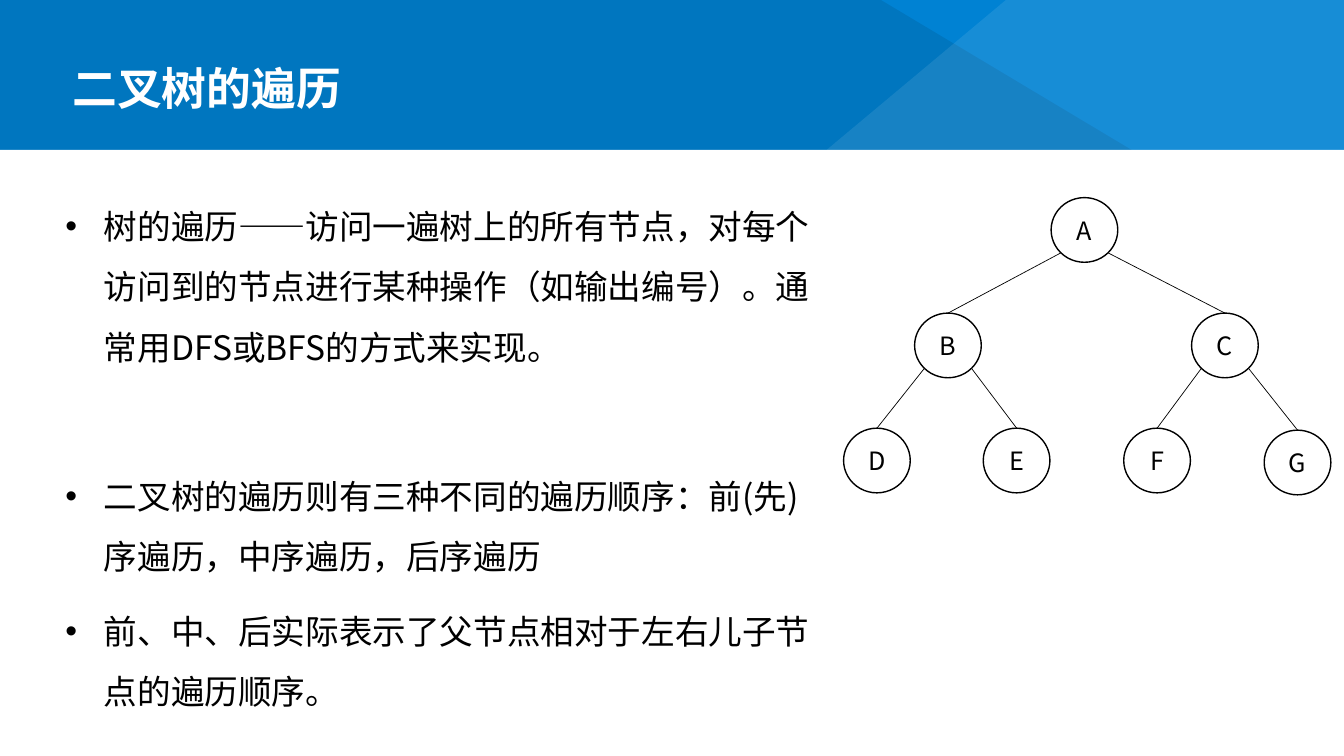
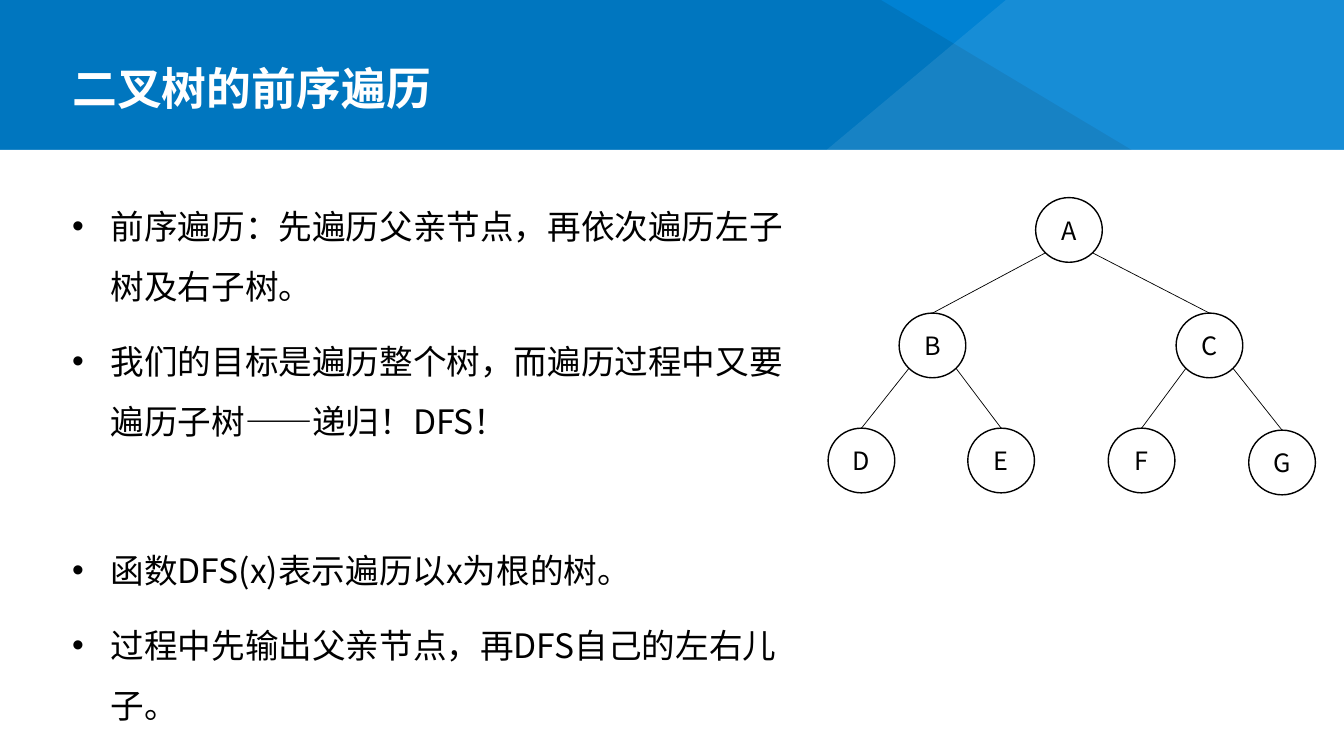
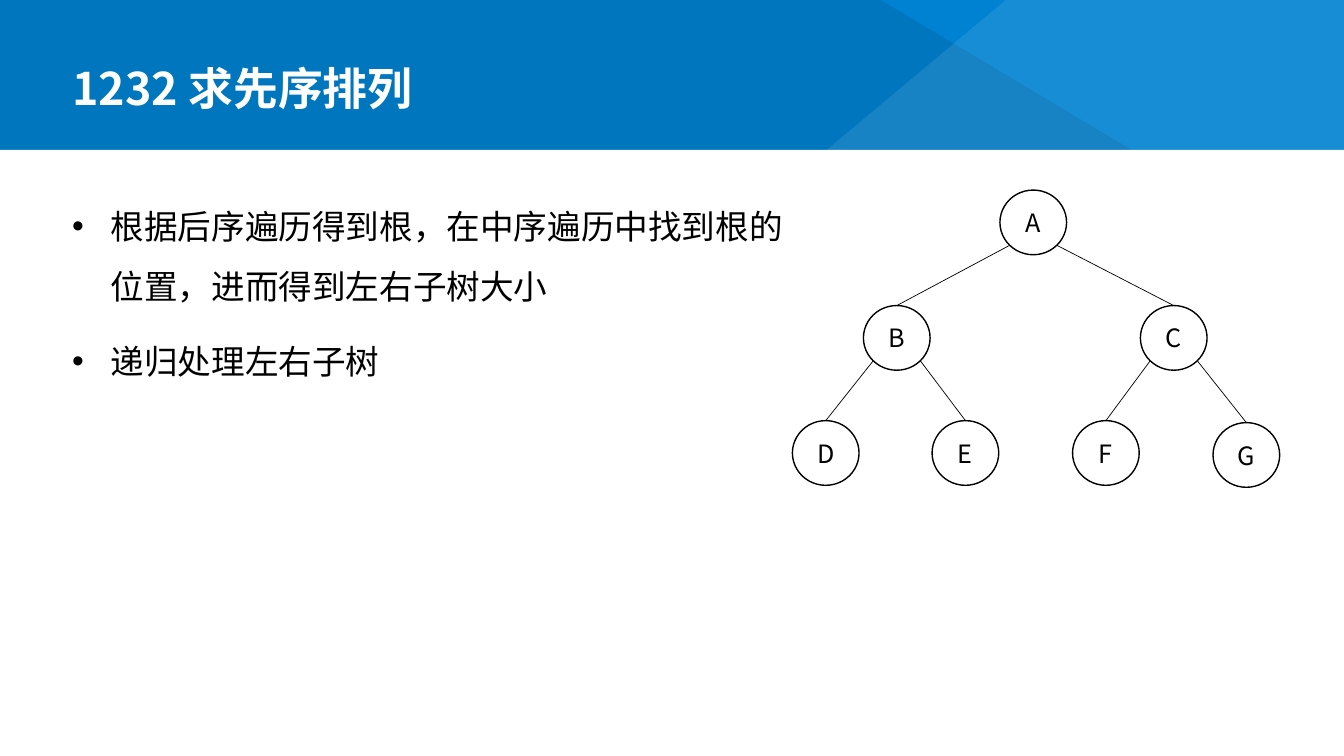
from math import sqrt

from lxml.etree import SubElement
from pptx import Presentation
from pptx.dml.color import RGBColor
from pptx.enum.shapes import MSO_CONNECTOR, MSO_SHAPE
from pptx.enum.text import MSO_ANCHOR, MSO_AUTO_SIZE, PP_ALIGN
from pptx.oxml.ns import qn
from pptx.util import Cm, Pt

WHITE = RGBColor(0xFF, 0xFF, 0xFF)
BLACK = RGBColor(0x00, 0x00, 0x00)
BLUE = RGBColor(0x00, 0x82, 0xD3)
FONT = "Noto Sans CJK SC"

PAGE_WIDTH, PAGE_HEIGHT = Cm(33.87), Cm(19.05)
BAND_HEIGHT = Cm(3.78)
BODY_TOP = Cm(4.55)
BULLET_INDENT = Cm(0.97)
PARAGRAPH_GAP, SECTION_GAP = Pt(10), Pt(63.2)

NODE_WIDTH, NODE_HEIGHT = Cm(1.68), Cm(1.63)
# Left and top of each node, in centimetres from the corner of the tree
NODES = {
    "A": (5.23, 0), "B": (1.79, 2.91), "C": (8.77, 2.91), "D": (0, 5.81),
    "E": (3.52, 5.81), "F": (7.06, 5.81), "G": (10.6, 5.86),
}
CHILDREN = {"A": "BC", "B": "DE", "C": "FG"}

# Title, body box (left, width), tree corner (left, top), sections of bullets
SLIDES = [
    ("二叉树的遍历", (Cm(1.4), Cm(19.63)), (Cm(21.26), Cm(4.98)), [
        ["树的遍历——访问一遍树上的所有节点，对每个访问到的节点进行某种操作（如输出编号）。"
         "通常用DFS或BFS的方式来实现。"],
        ["二叉树的遍历则有三种不同的遍历顺序：前(先)序遍历，中序遍历，后序遍历",
         "前、中、后实际表示了父节点相对于左右儿子节点的遍历顺序。"],
    ]),
    ("二叉树的前序遍历", (Cm(1.57), Cm(18.42)), (Cm(20.87), Cm(4.98)), [
        ["前序遍历：先遍历父亲节点，再依次遍历左子树及右子树。",
         "我们的目标是遍历整个树，而遍历过程中又要遍历子树——递归！DFS！"],
        ["函数DFS(x)表示遍历以x为根的树。",
         "过程中先输出父亲节点，再DFS自己的左右儿子。"],
    ]),
    ("1232 求先序排列", (Cm(1.57), Cm(18.69)), (Cm(19.97), Cm(4.79)), [
        ["根据后序遍历得到根，在中序遍历中找到根的位置，进而得到左右子树大小",
         "递归处理左右子树"],
    ]),
]


def set_font(para, size, color, bold=False):
    font = para.font
    font.name, font.size, font.bold = FONT, Pt(size), bold
    font.color.rgb = color
    SubElement(font._element, qn("a:ea"), typeface=FONT)


def paint(shape, color, opacity=None):
    shape.shadow.inherit = False
    shape.fill.solid()
    shape.fill.fore_color.rgb = color
    shape.line.fill.background()
    if opacity:
        fill = shape._element.spPr.find(qn("a:solidFill"))
        SubElement(fill[0], qn("a:alpha"), val=str(opacity * 1000))


def add_rectangle(page, top, height, color):
    panel = page.shapes.add_shape(MSO_SHAPE.RECTANGLE, 0, top, PAGE_WIDTH, height)
    paint(panel, color)
    return panel


def add_facet(page, corners, color):
    """Add a nearly transparent polygon to the title band."""
    builder = page.shapes.build_freeform(*corners[0])
    builder.add_line_segments(corners[1:], close=True)
    facet = builder.convert_to_shape()
    paint(facet, color, opacity=9)
    return facet


def move_band_to_layout(page):
    """Draw the shared background on a page and hand it to the page's layout."""
    parts = [
        add_rectangle(page, 0, PAGE_HEIGHT, BLUE),
        add_facet(page, [(0, 0), (Cm(22.2), 0), (Cm(28.52), BAND_HEIGHT),
                         (0, BAND_HEIGHT)], BLACK),
        add_facet(page, [(Cm(25.35), 0), (PAGE_WIDTH, 0), (PAGE_WIDTH, BAND_HEIGHT),
                         (Cm(20.83), BAND_HEIGHT)], WHITE),
        add_rectangle(page, BAND_HEIGHT, PAGE_HEIGHT - BAND_HEIGHT, WHITE),
    ]
    tree = page.slide_layout.shapes.element
    for position, part in enumerate(parts, start=2):
        tree.insert(position, part.element)


def set_title(page, text):
    title = page.shapes.title
    title.left, title.top, title.width, title.height = Cm(1.57), Cm(1.5), Cm(24.61), Cm(1.57)
    frame = title.text_frame
    frame.text = text
    frame.auto_size = MSO_AUTO_SIZE.NONE
    frame.vertical_anchor = MSO_ANCHOR.MIDDLE
    para = frame.paragraphs[0]
    para.alignment = PP_ALIGN.LEFT
    para.line_spacing = 0.9
    para.space_before = Pt(0)
    set_font(para, 32, WHITE, bold=True)


def add_bullets(page, left, width, sections):
    box = page.shapes.add_textbox(left, BODY_TOP, width, Cm(14))
    frame = box.text_frame
    frame.word_wrap = True
    para = None
    for section in sections:
        for index, text in enumerate(section):
            if para is None:
                para = frame.paragraphs[0]
            else:
                para = frame.add_paragraph()
                para.space_before = PARAGRAPH_GAP if index else SECTION_GAP
            para.text = text
            para.line_spacing = Pt(43.2)
            properties = para._p.get_or_add_pPr()
            properties.set("marL", str(BULLET_INDENT))
            properties.set("indent", str(-BULLET_INDENT))
            SubElement(properties, qn("a:buFont"), typeface="Arial")
            SubElement(properties, qn("a:buChar"), char="•")
            set_font(para, 24, BLACK)


def add_node(page, left, top, name):
    node = page.shapes.add_shape(MSO_SHAPE.OVAL, left, top, NODE_WIDTH, NODE_HEIGHT)
    paint(node, WHITE)
    node.line.color.rgb = BLACK
    node.line.width = Pt(1)
    frame = node.text_frame
    frame.text = name
    frame.vertical_anchor = MSO_ANCHOR.MIDDLE
    para = frame.paragraphs[0]
    para.alignment = PP_ALIGN.CENTER
    set_font(para, 18, BLACK)
    return node


def add_edge(page, parent, child, side):
    """Join the lower left (-1) or lower right (1) of a parent to a child's top."""
    begin_x = parent.left + int(NODE_WIDTH / 2 * (1 + side / sqrt(2)))
    begin_y = parent.top + int(NODE_HEIGHT / 2 * (1 + 1 / sqrt(2)))
    edge = page.shapes.add_connector(
        MSO_CONNECTOR.STRAIGHT, begin_x, begin_y, child.left + NODE_WIDTH // 2, child.top)
    edge.line.color.rgb = BLACK
    edge.line.width = Pt(0.5)
    SubElement(edge._element.spPr, qn("a:effectLst"))


def add_tree(page, left, top):
    nodes = {name: add_node(page, left + Cm(x), top + Cm(y), name)
             for name, (x, y) in NODES.items()}
    for parent, children in CHILDREN.items():
        for child, side in zip(children, (-1, 1)):
            add_edge(page, nodes[parent], nodes[child], side)


def main():
    deck = Presentation()
    deck.slide_width, deck.slide_height = PAGE_WIDTH, PAGE_HEIGHT
    layout = deck.slide_layouts.get_by_name("Title Only")
    for title, body, corner, sections in SLIDES:
        page = deck.slides.add_slide(layout)
        set_title(page, title)
        add_bullets(page, *body, sections)
        add_tree(page, *corner)
    move_band_to_layout(deck.slides[0])
    deck.save("out.pptx")


if __name__ == "__main__":
    main()
